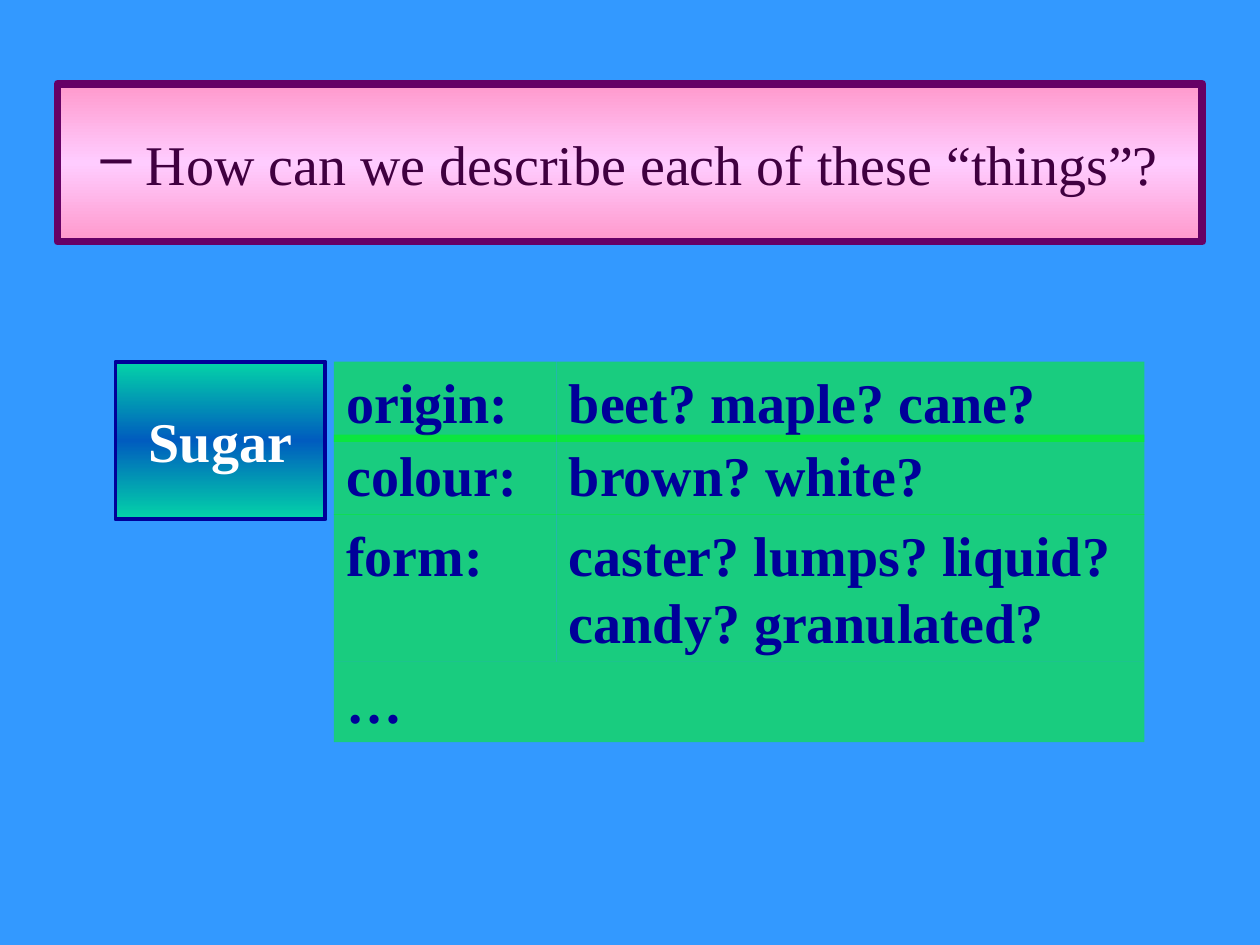
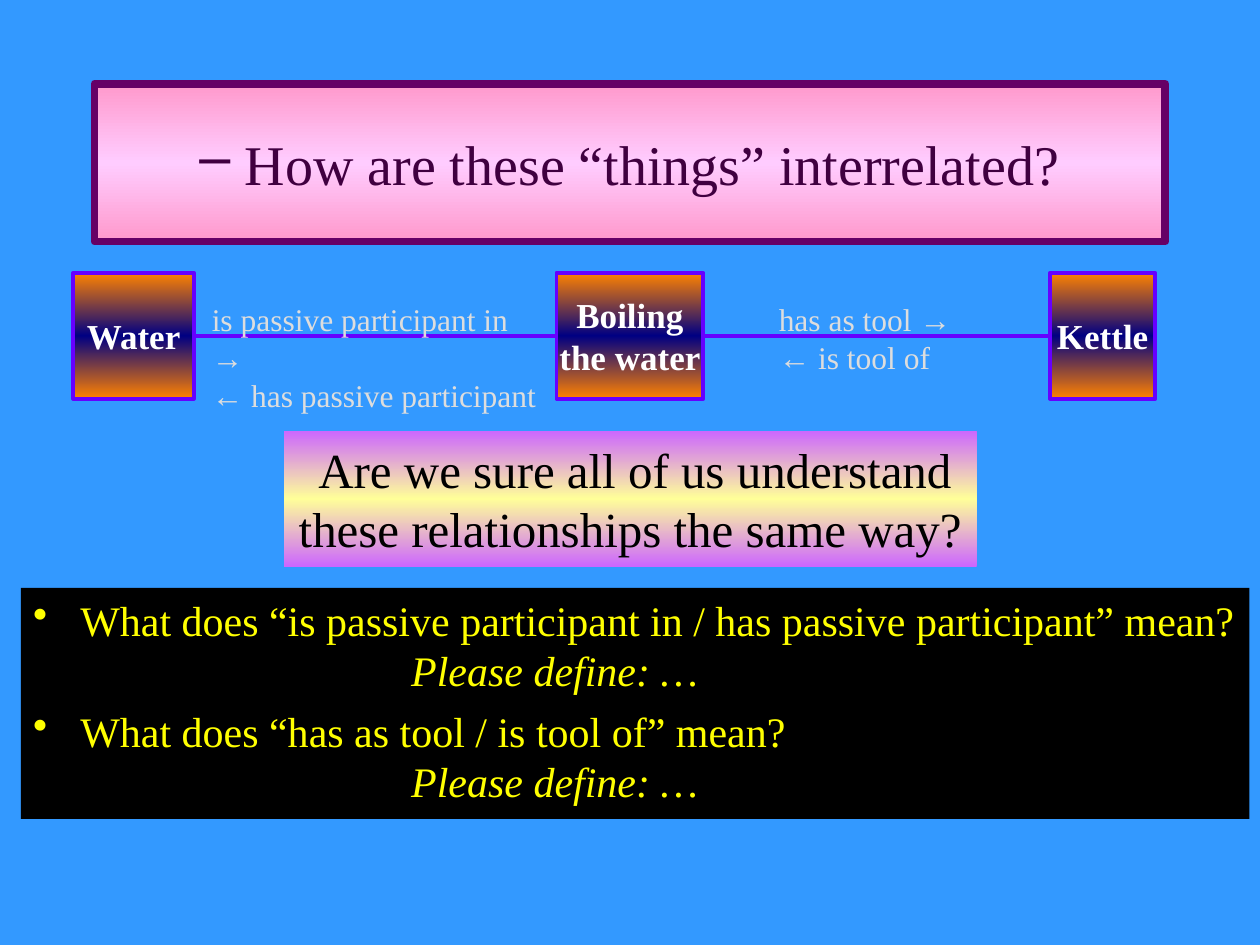
"""Build two slides on describing things and how they relate."""
import copy
import dataclasses
import itertools
import typing

import lxml.etree
import pptx
import pptx.dml.color
import pptx.enum.shapes
import pptx.enum.text
import pptx.oxml.ns
import pptx.util

Cm = pptx.util.Cm
qn = pptx.oxml.ns.qn
ALIGN = pptx.enum.text.PP_ALIGN
ANCHOR = pptx.enum.text.MSO_ANCHOR
WIDE, HIGH = 25.4, 19.05
FACE, SIGN_FACE = "Times New Roman", "Arial"
SKY, NAVY, WHITE, PLUM = "3399FF", "000099", "FFFFFF", "400040"
GREEN, VIOLET, YELLOW, GREY, BLACK = "00FF00", "6600FF", "FFFF00", "DDDDDD", "000000"


@dataclasses.dataclass
class Box:
    """Place of a rectangle in centimetres."""
    left: float
    top: float
    width: float
    height: float

    def span(self) -> list[int]:
        """Return the four lengths for a shape call."""
        return [Cm(side) for side in dataclasses.astuple(self)]


@dataclasses.dataclass
class Style:
    """Fill, rim and alpha of a rectangle."""
    fill: str
    mid: str = ""
    rim: str = ""
    rim_width: float = 2.25
    alpha: int = 100


TITLE = Style("FF99CC", "FFCCFF", "660066", 4.5)
THING = Style("03D4A8", "005CBF", NAVY)
NODE = Style("FF8200", "000082", VIOLET)
CELL = Style(GREEN, alpha=50)
ASK = Style("CC66FF", "FFFF99")
PANEL = Style(BLACK)


def hue(code: str) -> pptx.dml.color.RGBColor:
    """Turn a hex string into a colour."""
    return pptx.dml.color.RGBColor.from_string(code)


def write(frame: typing.Any, text: str, *, size: float, color: str, bold: bool = False,
          italic: bool = False, align: typing.Any = ALIGN.LEFT, bullet: str = "",
          left: float = 0, hang: float = 0, before: float = 0) -> None:
    """Add one paragraph, with arrows in their own font."""
    para = frame.paragraphs[0]
    if para.runs:
        para = frame.add_paragraph()
    para.alignment, para.space_before = align, pptx.util.Pt(before)
    props = para._p.get_or_add_pPr()
    props.set("marL", str(Cm(left)))
    props.set("indent", str(Cm(-hang)))
    if bullet:
        tint = lxml.etree.SubElement(props, qn("a:buClr"))
        lxml.etree.SubElement(tint, qn("a:srgbClr"), val=color)
        lxml.etree.SubElement(props, qn("a:buChar"), char=bullet)
    for row, line in enumerate(text.split("\n")):
        if row:
            para.add_line_break()
        for sign, part in itertools.groupby(line, lambda char: char in "←→"):
            run = para.add_run()
            run.text = "".join(part)
            font = run.font
            font.name = SIGN_FACE if sign else FACE
            font.size, font.bold, font.italic = pptx.util.Pt(size), bold, italic
            font.color.rgb = hue(color)


def blend(shape: typing.Any, style: Style) -> None:
    """Fill a shape with an upright, mirrored gradient."""
    shape.fill.gradient()
    shape.fill.gradient_angle = 90
    stops = shape.element.spPr.find(qn("a:gradFill")).find(qn("a:gsLst"))
    stops.append(copy.deepcopy(stops[0]))
    for step, code in enumerate((style.fill, style.mid, style.fill)):
        stop = shape.fill.gradient_stops[step]
        stop.position, stop.color.rgb = step / 2, hue(code)


def draw(slide: typing.Any, box: Box, style: Style, text: str = "", *, wrap: bool = True,
         anchor: typing.Any = ANCHOR.MIDDLE, **form: typing.Any) -> typing.Any:
    """Draw a styled rectangle with its text."""
    shape = slide.shapes.add_shape(pptx.enum.shapes.MSO_SHAPE.RECTANGLE, *box.span())
    shape.shadow.inherit = False
    if style.mid:
        blend(shape, style)
    else:
        shape.fill.solid()
        shape.fill.fore_color.rgb = hue(style.fill)
    if style.alpha < 100:
        tint = shape.element.spPr.find(qn("a:solidFill"))[0]
        lxml.etree.SubElement(tint, qn("a:alpha"), val=str(style.alpha * 1000))
    if style.rim:
        shape.line.color.rgb = hue(style.rim)
        shape.line.width = pptx.util.Pt(style.rim_width)
    else:
        shape.line.fill.background()
    frame = shape.text_frame
    frame.word_wrap, frame.vertical_anchor = wrap, anchor
    if text:
        write(frame, text, **form)
    return shape


def link(slide: typing.Any, start: typing.Any, end: typing.Any) -> None:
    """Join the facing sides of two nodes."""
    line = slide.shapes.add_connector(pptx.enum.shapes.MSO_CONNECTOR.STRAIGHT, 0, 0, 0, 0)
    line.begin_connect(start, 3)
    line.end_connect(end, 1)
    line.line.color.rgb = hue(VIOLET)
    line.line.width = pptx.util.Pt(2.25)
    lxml.etree.SubElement(line.element.spPr, qn("a:effectLst"))


def label(slide: typing.Any, box: Box, text: str) -> None:
    """Place a pair of link names."""
    frame = slide.shapes.add_textbox(*box.span()).text_frame
    frame.word_wrap = False
    write(frame, text, size=18, color=GREY)


def start(deck: typing.Any, title: str, width: float) -> typing.Any:
    """Add a slide with its ground and title band."""
    slide = deck.slides.add_slide(deck.slide_layouts[6])
    slide.background.fill.solid()
    slide.background.fill.fore_color.rgb = hue(SKY)
    draw(slide, Box((WIDE - width) / 2, 1.69, width, 3.18), TITLE, title,
         size=32, color=PLUM, align=ALIGN.CENTER, bullet="–")
    return slide


def describe(deck: typing.Any) -> None:
    """Build the slide that describes sugar."""
    slide = start(deck, " How can we describe each of these “things”?", 23.08)
    draw(slide, Box(2.33, 7.29, 4.23, 3.18), THING, "Sugar", wrap=False,
         size=32, color=WHITE, bold=True, align=ALIGN.CENTER)
    left, split, right = 6.73, 11.22, 23.07
    rows = (
        (7.29, 1.62, ("origin:", "beet? maple? cane?")),
        (8.76, 1.62, ("colour:", "brown? white?")),
        (10.37, 2.97, ("form:", "caster? lumps? liquid? candy? granulated?")),
        (13.34, 1.62, ("…",)),
    )
    for top, height, texts in rows:
        edges = (left, split, right) if len(texts) == 2 else (left, right)
        for text, (near, far) in zip(texts, itertools.pairwise(edges)):
            draw(slide, Box(near, top, far - near, height), CELL, text,
                 anchor=ANCHOR.TOP, size=32, color=NAVY, bold=True)


def relate(deck: typing.Any) -> None:
    """Build the slide that links water, boiling and kettle."""
    slide = start(deck, " How are these “things” interrelated?", 21.59)
    nodes = [
        draw(slide, Box(left, 5.5, width, 2.54), NODE, text, wrap=False,
             size=20, color=WHITE, bold=True, align=ALIGN.CENTER)
        for left, width, text in ((1.48, 2.43, "Water"), (11.22, 2.96, "Boiling\nthe water"),
                                  (21.17, 2.12, "Kettle"))
    ]
    for pair in itertools.pairwise(nodes):
        link(slide, *pair)
    label(slide, Box(4.02, 5.93, 7.26, 1.78),
          "is passive participant in →\n← has passive participant")
    label(slide, Box(15.45, 5.93, 3.99, 1.78), "has as tool →\n← is tool of")
    draw(slide, Box(5.72, 8.68, 13.97, 2.75), ASK,
         " Are we sure all of us understand these relationships the same way?",
         size=28, color=BLACK, align=ALIGN.CENTER)
    panel = draw(slide, Box(0.42, 11.85, 24.77, 4.66), PANEL, anchor=ANCHOR.TOP)
    for name in ("is passive participant in / has passive participant",
                 "has as tool / is tool of"):
        write(panel.text_frame, f"What does “{name}” mean?", size=24, color=YELLOW,
              bullet="•", left=0.95, hang=0.95, before=6)
        write(panel.text_frame, "Please define: …", size=24, color=YELLOW,
              italic=True, left=7.62)


def main() -> None:
    """Build and save the deck."""
    deck = pptx.Presentation()
    deck.slide_width, deck.slide_height = Cm(WIDE), Cm(HIGH)
    describe(deck)
    relate(deck)
    deck.save("out.pptx")


if __name__ == "__main__":
    main()
